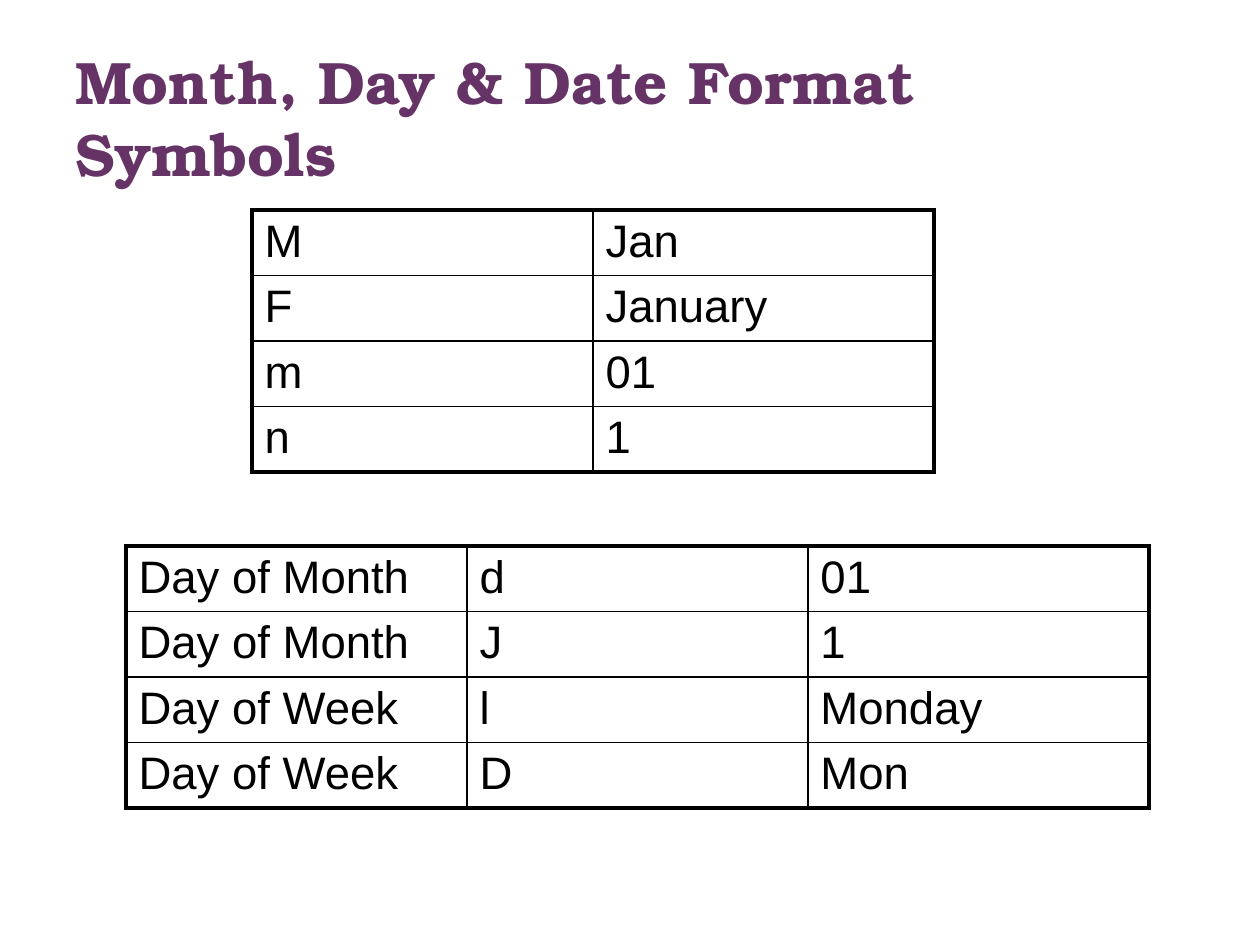
from lxml import etree
from pptx import Presentation
from pptx import util as u
from pptx.dml import color
from pptx.enum import text
from pptx.oxml import ns

SCALE = 914400 // 126
BLACK = "000000"
MONTHS = [("M", "Jan"), ("F", "January"), ("m", "01"), ("n", "1")]
DAYS = [
    ("Day of Month", "d", "01"),
    ("Day of Month", "J", "1"),
    ("Day of Week", "l", "Monday"),
    ("Day of Week", "D", "Mon"),
]


def px(n):
    """Turn px into EMU."""
    return u.Emu(n * SCALE)


def hue(code):
    """Turn a hex string into a colour."""
    return color.RGBColor.from_string(code)


def write(frame, words, font="Arial", size=26, ink=BLACK, bold=False):
    """Put formatted words into a text frame."""
    run = frame.paragraphs[0].add_run()
    run.text = words
    run.font.name = font
    run.font.size = u.Pt(size)
    run.font.color.rgb = hue(ink)
    run.font.bold = bold


def edge(cell, side, width):
    """Draw one solid border of a cell."""
    props = cell._tc.get_or_add_tcPr()
    line = etree.SubElement(props, ns.qn(f"a:ln{side}"), w=str(u.Pt(width)))
    fill = etree.SubElement(line, ns.qn("a:solidFill"))
    etree.SubElement(fill, ns.qn("a:srgbClr"), val=BLACK)


def title(slide, words, left, top, width, height):
    """Place the slide title in the given box."""
    box = slide.shapes.add_textbox(px(left), px(top), px(width), px(height))
    frame = box.text_frame
    frame.word_wrap = True
    frame.vertical_anchor = text.MSO_ANCHOR.MIDDLE
    write(frame, words, font="TeX Gyre Bonum", size=34.2, ink="663366", bold=True)


def grid(slide, data, left, top, width, height):
    """Place a table with a heavy outer frame in the given box."""
    rows, cols = len(data), len(data[0])
    table = slide.shapes.add_table(
        rows, cols, px(left), px(top), px(width), px(height)
    ).table
    table.first_row = table.horz_banding = False
    for r, row in enumerate(data):
        for c, words in enumerate(row):
            cell = table.cell(r, c)
            cell.margin_top, cell.margin_bottom = px(6), px(5)
            outer = {"L": c == 0, "R": c == cols - 1, "T": r == 0, "B": r == rows - 1}
            for side, heavy in outer.items():
                edge(cell, side, 2.25 if heavy else 1)
            cell.fill.background()
            write(cell.text_frame, words)


def main():
    """Build and save the slide."""
    deck = Presentation()
    deck.slide_width, deck.slide_height = px(1260), px(945)
    slide = deck.slides.add_slide(deck.slide_layouts[6])
    title(slide, "Month, Day & Date Format Symbols", 63, 38, 1134, 157)
    grid(slide, MONTHS, 252, 210, 682, 254)
    grid(slide, DAYS, 126, 546, 1023, 254)
    deck.save("out.pptx")


if __name__ == "__main__":
    main()
